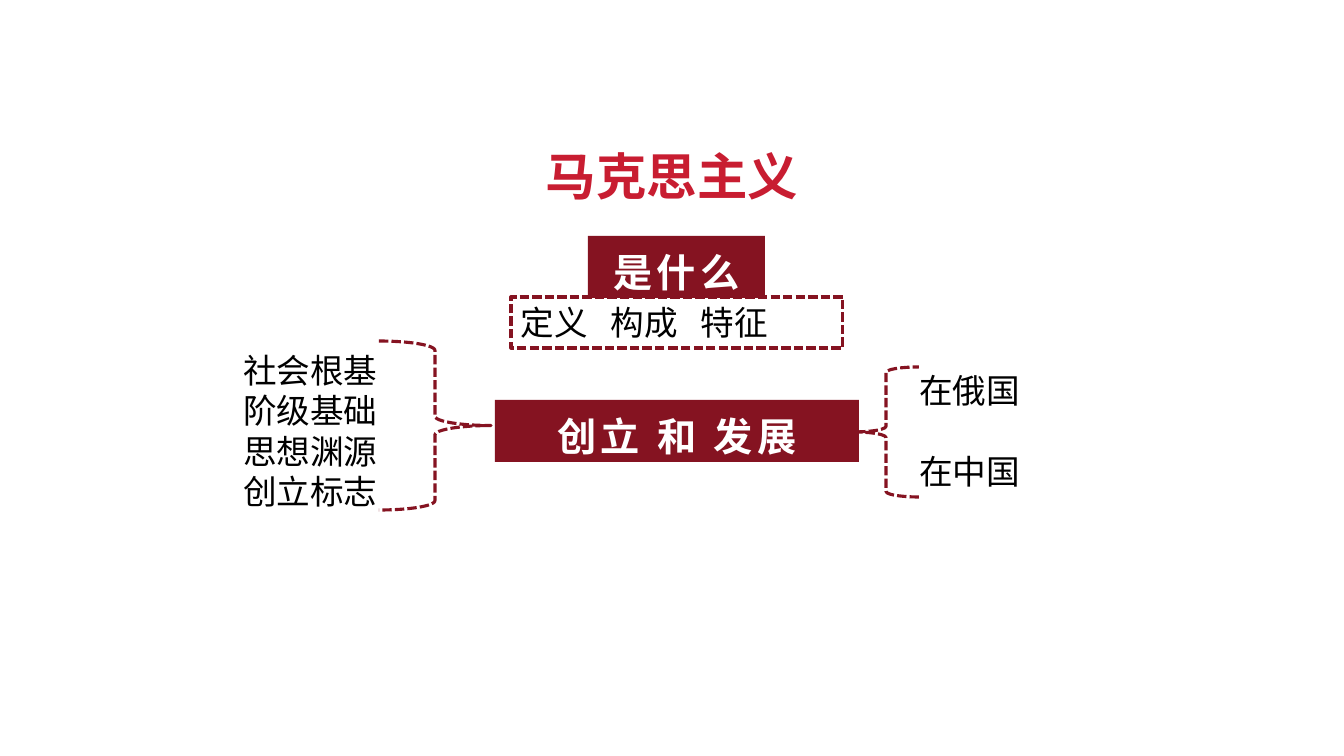
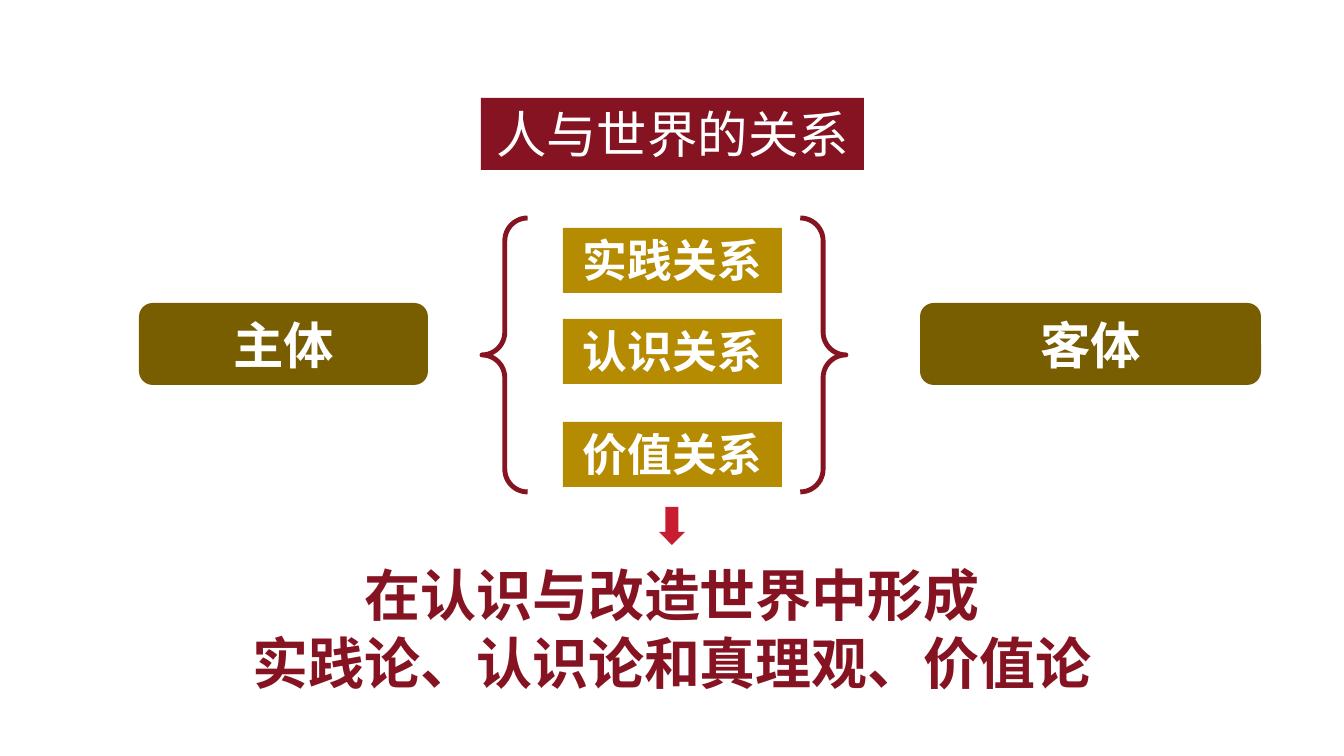
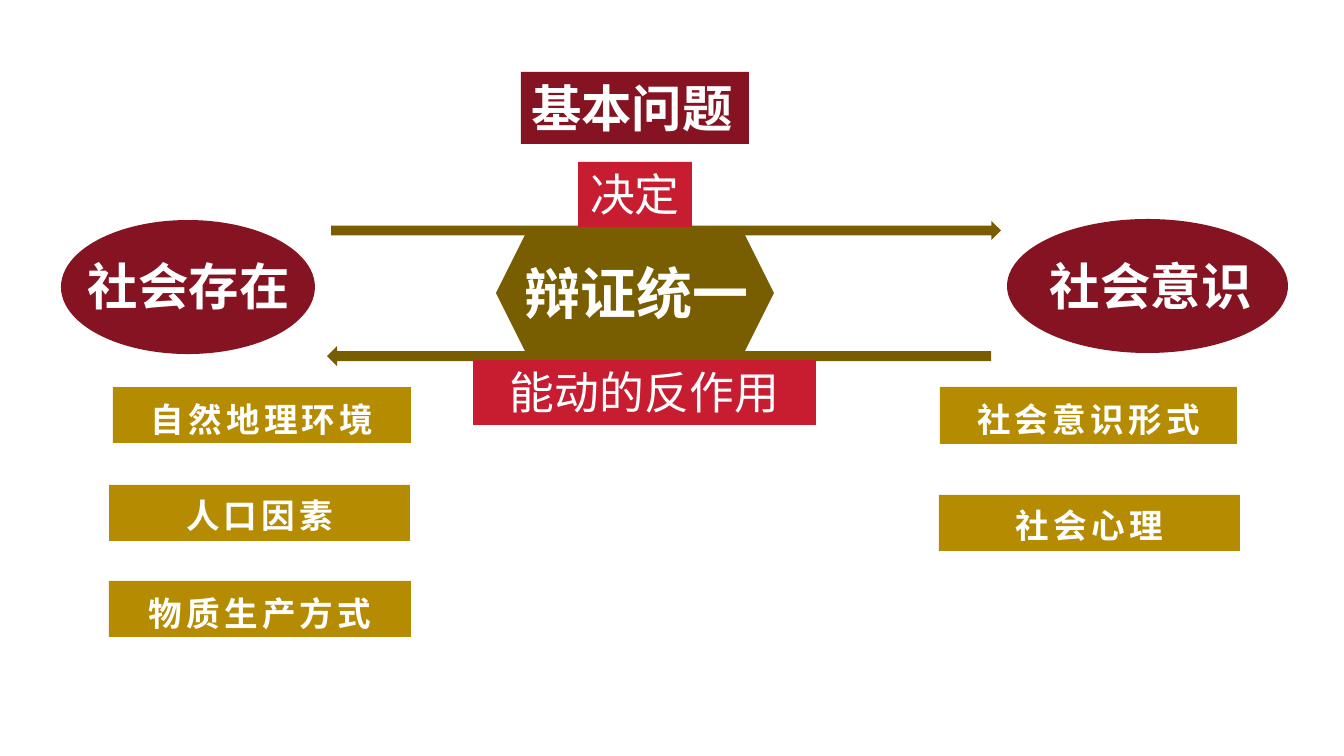
import dataclasses

import pptx
import pptx.dml.color
import pptx.enum.dml
import pptx.enum.shapes
import pptx.enum.text
import pptx.oxml
import pptx.oxml.ns
import pptx.util

SCALE = 914400 / 100.8  # EMU in one px
SHAPE = pptx.enum.shapes.MSO_SHAPE
ALIGN = pptx.enum.text.PP_ALIGN
ANCHOR = pptx.enum.text.MSO_ANCHOR


@dataclasses.dataclass(frozen=True)
class Theme:
    maroon: str = "851321"
    red: str = "C81D31"
    gold: str = "B58B01"
    olive: str = "795D01"
    white: str = "FFFFFF"
    black: str = "000000"
    font: str = "Noto Sans CJK SC"
    plain_font: str = "Arial"
    huge: int = 40
    title: int = 36
    label: int = 32
    banner: int = 28
    item: int = 24


theme = Theme()


def draw(page, kind, box, fill=None, line=None, width=2.25, dashed=False):
    """Add a preset shape, or a text box when kind is None."""
    place = [round(value * SCALE) for value in box]
    if kind is None:
        return page.shapes.add_textbox(*place)
    shape = page.shapes.add_shape(kind, *place)
    shape.shadow.inherit = False
    if fill:
        shape.fill.solid()
        shape.fill.fore_color.rgb = pptx.dml.color.RGBColor.from_string(fill)
    else:
        shape.fill.background()
    if line:
        shape.line.color.rgb = pptx.dml.color.RGBColor.from_string(line)
        shape.line.width = pptx.util.Pt(width)
        if dashed:
            shape.line.dash_style = pptx.enum.dml.MSO_LINE.SQUARE_DOT
    else:
        shape.line.fill.background()
    return shape


def write(shape, text, size, color, bold=False, align=ALIGN.CENTER, anchor=ANCHOR.TOP,
          font=theme.font, leading=None, tracking=0, wrap=True, box=None, fill=None):
    """Fill a shape or placeholder with text; box and fill restyle a placeholder."""
    if box:
        shape.left, shape.top, shape.width, shape.height = [round(value * SCALE) for value in box]
    if fill:
        shape.fill.solid()
        shape.fill.fore_color.rgb = pptx.dml.color.RGBColor.from_string(fill)
    frame = shape.text_frame
    frame.text = text
    frame.auto_size = pptx.enum.text.MSO_AUTO_SIZE.NONE
    frame.word_wrap = wrap
    frame.vertical_anchor = anchor
    for para in frame.paragraphs:
        para.alignment = align
        para.space_before = pptx.util.Pt(0)
        if leading:
            para.line_spacing = leading
        for span in para.runs:
            span.font.size = pptx.util.Pt(size)
            span.font.bold = bold
            span.font.name = font
            span.font.color.rgb = pptx.dml.color.RGBColor.from_string(color)
            props = span.font._element
            east = pptx.oxml.parse_xml(
                f'<a:ea {pptx.oxml.ns.nsdecls("a")} typeface="{font}"/>')
            props.find(pptx.oxml.ns.qn("a:latin")).addnext(east)
            if tracking:
                props.set("spc", str(tracking * 100))
    return frame


deck = pptx.Presentation()
deck.slide_width = round(1344 * SCALE)
deck.slide_height = round(756 * SCALE)
two_lists, title_only = deck.slide_layouts[3], deck.slide_layouts[5]

# Slide 1: outline
page = deck.slides.add_slide(two_lists)
write(page.shapes.title, "马克思主义", theme.title, theme.red, bold=True, box=(526, 140, 292, 72))

for text, box in (("是什么", (588, 236, 177, 62)), ("创立 和 发展", (495, 400, 364, 62))):
    banner = draw(page, SHAPE.RECTANGLE, box, theme.maroon)
    write(banner, text, theme.banner, theme.white, bold=True, anchor=ANCHOR.MIDDLE,
          leading=1.2, tracking=3)

# Three topics on equal tab stops
topics = draw(page, SHAPE.RECTANGLE, (511, 297, 332, 51), line=theme.maroon, dashed=True)
frame = write(topics, "定义\t构成\t特征", theme.item, theme.black, align=ALIGN.LEFT)
stops = "".join(f'<a:tab pos="{round(90 * step * SCALE)}" algn="l"/>' for step in (1, 2))
frame.paragraphs[0]._p.get_or_add_pPr().append(pptx.oxml.parse_xml(
    f'<a:tabLst {pptx.oxml.ns.nsdecls("a")}>{stops}</a:tabLst>'))

# Lists on both sides, each with its brace
sides = (
    (1, "社会根基\n阶级基础\n思想渊源\n创立标志", (233, 345, 212, 173), 0,
     SHAPE.RIGHT_BRACE, (379, 341, 112, 169)),
    (2, "在俄国\n在中国", (909, 365, 212, 132), 29, SHAPE.LEFT_BRACE, (853, 367, 66, 130)),
)
for index, text, box, gap, brace, brace_box in sides:
    frame = write(page.placeholders[index], text, theme.item, theme.black,
                  align=ALIGN.LEFT, box=box)
    for para in frame.paragraphs:
        props = para._p.get_or_add_pPr()
        props.set("marL", "0")
        props.set("indent", "0")
        props.append(pptx.oxml.parse_xml(f'<a:buNone {pptx.oxml.ns.nsdecls("a")}/>'))
    for para in frame.paragraphs[1:]:
        para.space_before = pptx.util.Pt(gap)
    draw(page, brace, brace_box, line=theme.maroon, dashed=True)

# Slide 2: people and the world
page = deck.slides.add_slide(title_only)
write(page.shapes.title, "人与世界的关系", theme.title, theme.white,
      box=(481, 98, 383, 72), fill=theme.maroon)

for text, top in (("实践关系", 228), ("认识关系", 319), ("价值关系", 422)):
    relation = draw(page, SHAPE.RECTANGLE, (563, top, 219, 65), theme.gold)
    write(relation, text, theme.label, theme.white, bold=True)

for text, left, width in (("主体", 139, 289), ("客体", 920, 341)):
    party = draw(page, SHAPE.ROUNDED_RECTANGLE, (left, 303, width, 82), theme.olive)
    write(party, text, theme.title, theme.white, bold=True, anchor=ANCHOR.MIDDLE, wrap=False)

draw(page, SHAPE.DOWN_ARROW, (659, 507, 26, 38), theme.red)
conclusion = draw(page, None, (235, 556, 874, 146))
write(conclusion, "在认识与改造世界中形成\n实践论、认识论和真理观、价值论",
      theme.huge, theme.maroon, bold=True)
draw(page, SHAPE.DOUBLE_BRACE, (482, 218, 364, 274), line=theme.maroon, width=3.5)

# Slide 3: the basic question
page = deck.slides.add_slide(title_only)
write(page.shapes.title, "基本问题", theme.title, theme.white, bold=True, align=ALIGN.LEFT,
      box=(521, 72, 228, 72), fill=theme.maroon)

factors = (
    ("自然地理环境", (113, 387, 298, 56), 1.2),
    ("人口因素", (109, 485, 301, 56), 1.1),
    ("物质生产方式", (109, 581, 302, 56), 1.2),
    ("社会意识形式", (940, 387, 297, 57), 1.2),
    ("社会心理", (939, 495, 301, 56), 1.1),
)
for text, box, leading in factors:
    factor = draw(page, SHAPE.RECTANGLE, box, theme.gold)
    write(factor, text, theme.item, theme.white, bold=True, anchor=ANCHOR.MIDDLE,
          leading=leading, tracking=3)

# Two poles
poles = (
    ("社会存在", (61, 220, 254, 134), (78, 250, 234, 72)),
    ("社会意识", (1007, 219, 281, 134), (1040, 250, 227, 72)),
)
for text, oval, box in poles:
    draw(page, SHAPE.OVAL, oval, theme.maroon)
    write(draw(page, None, box), text, theme.title, theme.white, bold=True, align=ALIGN.LEFT)

# Unity in the centre, an arrow each way, and what the arrows mean
draw(page, SHAPE.HEXAGON, (496, 235, 278, 116), theme.olive)
for box, turn in (((331, 221, 670, 19), 0), ((327, 346, 664, 20), 180)):
    draw(page, SHAPE.RIGHT_ARROW, box, theme.olive).rotation = turn
for text, box in (("决定", (578, 162, 114, 65)), ("能动的反作用", (473, 360, 343, 65))):
    action = draw(page, SHAPE.RECTANGLE, box, theme.red)
    write(action, text, theme.label, theme.white, font=theme.plain_font)

unity = draw(page, None, (515, 254, 251, 78))
frame = write(unity, "辩证统一", theme.huge, theme.white, bold=True, align=ALIGN.LEFT)
shadow = pptx.oxml.parse_xml(
    f'<a:effectLst {pptx.oxml.ns.nsdecls("a")}>'
    '<a:outerShdw blurRad="38100" dist="38100" dir="2700000" algn="tl">'
    '<a:srgbClr val="000000"><a:alpha val="43000"/></a:srgbClr></a:outerShdw></a:effectLst>')
fill = frame.paragraphs[0].runs[0].font._element.find(pptx.oxml.ns.qn("a:solidFill"))
fill.addnext(shadow)

deck.save("out.pptx")
